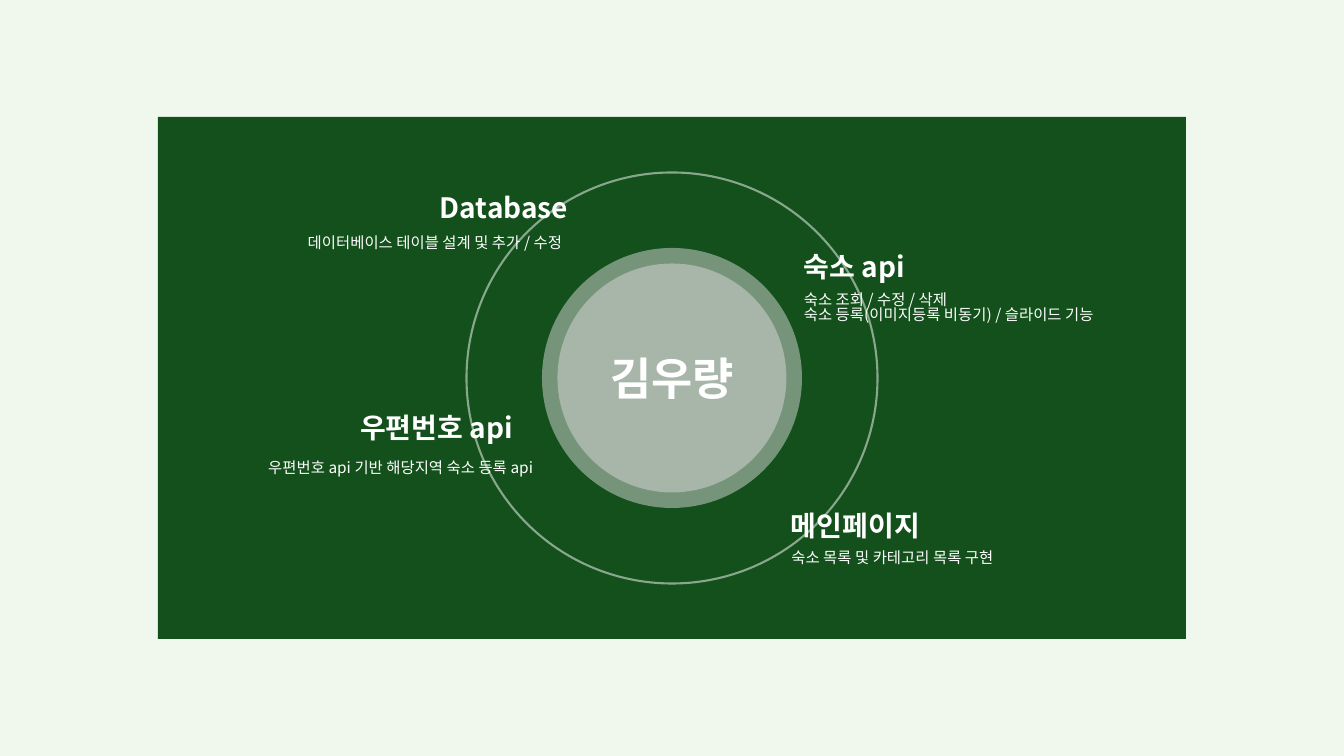
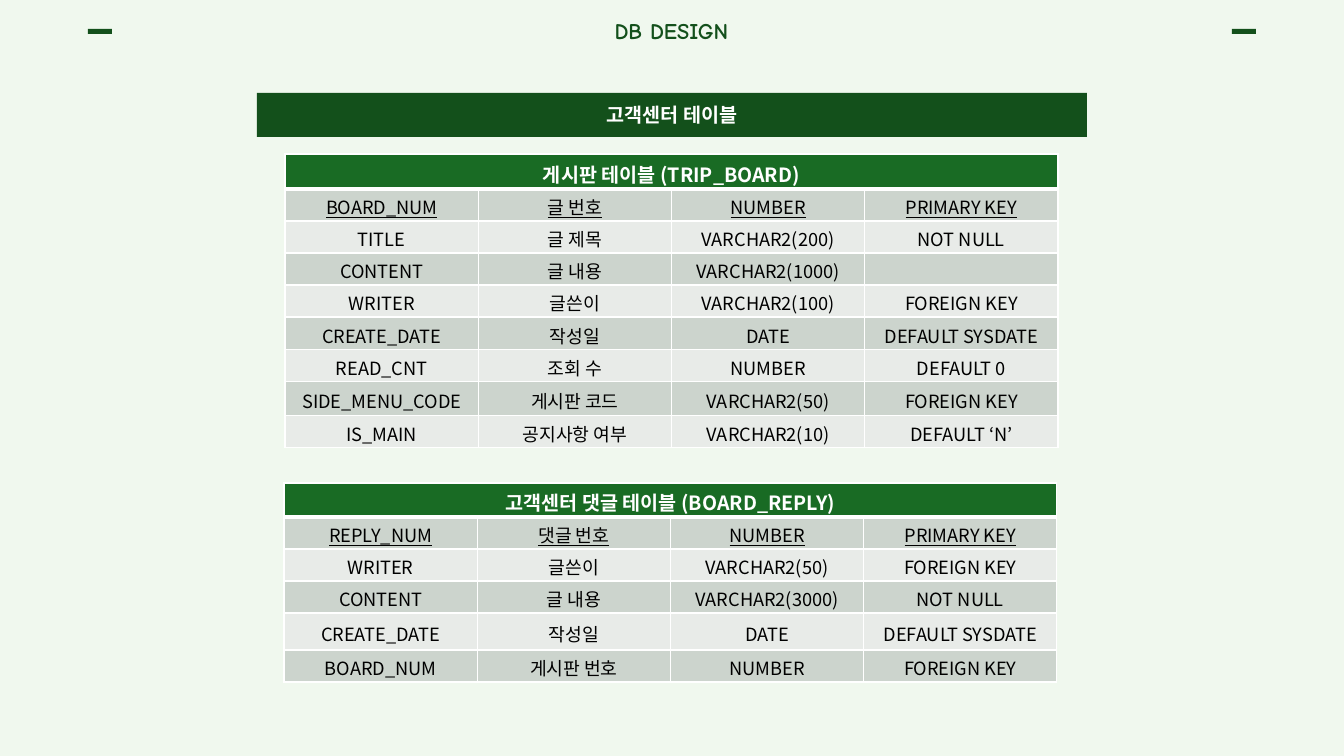
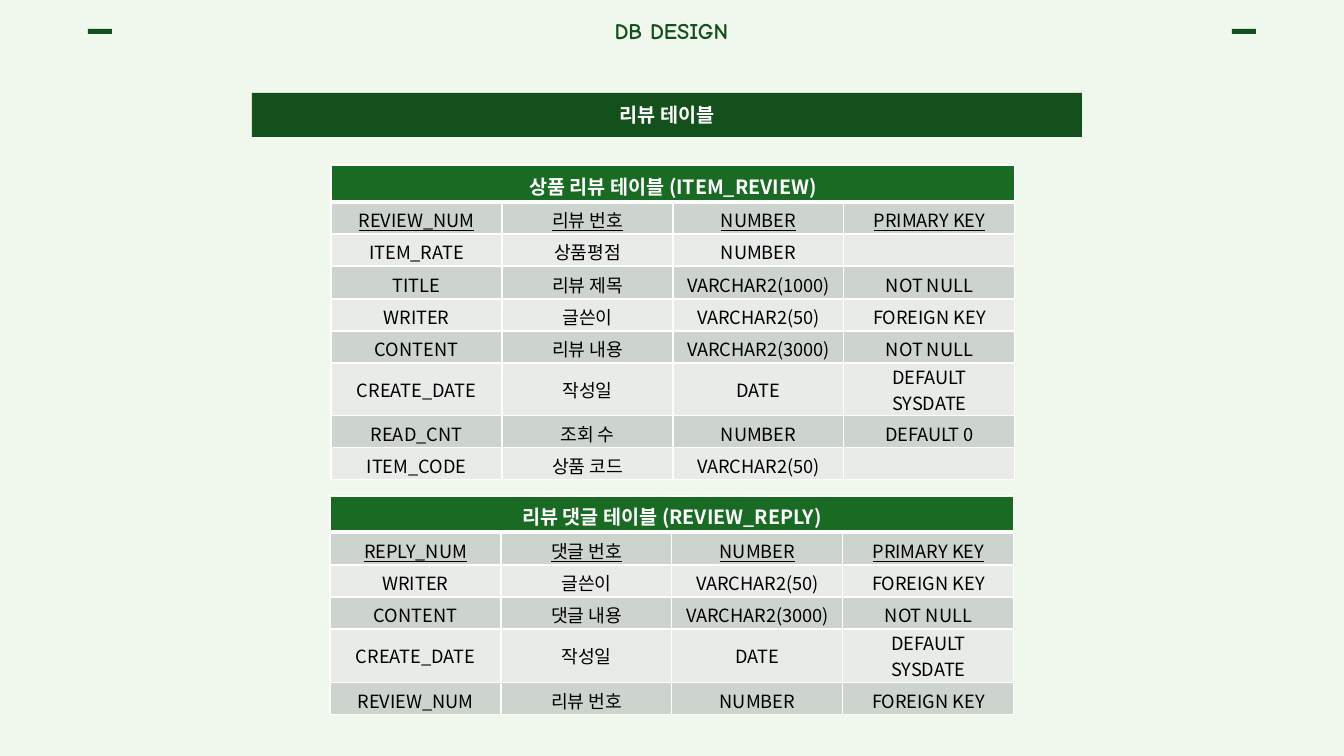
import dataclasses

import pptx
import pptx.dml.color
import pptx.enum.shapes
import pptx.enum.text
import pptx.oxml.ns
import pptx.util
from lxml import etree

SHAPE = pptx.enum.shapes.MSO_SHAPE
ALIGN = pptx.enum.text.PP_ALIGN
qn = pptx.oxml.ns.qn


@dataclasses.dataclass(frozen=True)
class Theme:
    page: str = "F0F8EE"
    dark: str = "13501B"
    header: str = "196B24"
    stripes: tuple = ("CCD4CD", "E8EBE8")
    disc: str = "D9D9D9"
    white: str = "FFFFFF"
    black: str = "000000"
    font: str = "Noto Sans CJK KR"
    title_font: str = "Comic Neue"
    name_size: int = 32
    topic_size: int = 20
    title_size: int = 16
    header_size: int = 14
    cell_size: int = 13
    detail_size: int = 11


THEME = Theme()
TITLE_ONLY, BLANK = 5, 6

BOARD = ("게시판 테이블 (TRIP_BOARD)", [
    ("BOARD_NUM", "글 번호", "NUMBER", "PRIMARY KEY"),
    ("TITLE", "글 제목", "VARCHAR2(200)", "NOT NULL"),
    ("CONTENT", "글 내용", "VARCHAR2(1000)", ""),
    ("WRITER", "글쓴이", "VARCHAR2(100)", "FOREIGN KEY"),
    ("CREATE_DATE", "작성일", "DATE", "DEFAULT SYSDATE"),
    ("READ_CNT", "조회 수", "NUMBER", "DEFAULT 0"),
    ("SIDE_MENU_CODE", "게시판 코드", "VARCHAR2(50)", "FOREIGN KEY"),
    ("IS_MAIN", "공지사항 여부", "VARCHAR2(10)", "DEFAULT ‘N’"),
])
BOARD_REPLY = ("고객센터 댓글 테이블 (BOARD_REPLY)", [
    ("REPLY_NUM", "댓글 번호", "NUMBER", "PRIMARY KEY"),
    ("WRITER", "글쓴이", "VARCHAR2(50)", "FOREIGN KEY"),
    ("CONTENT", "글 내용", "VARCHAR2(3000)", "NOT NULL"),
    ("CREATE_DATE", "작성일", "DATE", "DEFAULT SYSDATE"),
    ("BOARD_NUM", "게시판 번호", "NUMBER", "FOREIGN KEY"),
])
REVIEW = ("상품 리뷰 테이블 (ITEM_REVIEW)", [
    ("REVIEW_NUM", "리뷰 번호", "NUMBER", "PRIMARY KEY"),
    ("ITEM_RATE", "상품평점", "NUMBER", ""),
    ("TITLE", "리뷰 제목", "VARCHAR2(1000)", "NOT NULL"),
    ("WRITER", "글쓴이", "VARCHAR2(50)", "FOREIGN KEY"),
    ("CONTENT", "리뷰 내용", "VARCHAR2(3000)", "NOT NULL"),
    ("CREATE_DATE", "작성일", "DATE", "DEFAULT SYSDATE"),
    ("READ_CNT", "조회 수", "NUMBER", "DEFAULT 0"),
    ("ITEM_CODE", "상품 코드", "VARCHAR2(50)", ""),
])
REVIEW_REPLY = ("리뷰 댓글 테이블 (REVIEW_REPLY)", [
    ("REPLY_NUM", "댓글 번호", "NUMBER", "PRIMARY KEY"),
    ("WRITER", "글쓴이", "VARCHAR2(50)", "FOREIGN KEY"),
    ("CONTENT", "댓글 내용", "VARCHAR2(3000)", "NOT NULL"),
    ("CREATE_DATE", "작성일", "DATE", "DEFAULT SYSDATE"),
    ("REVIEW_NUM", "리뷰 번호", "NUMBER", "FOREIGN KEY"),
])


def px(count):
    return pptx.util.Emu(round(count * 914400 / 100.8))


def rgb(color):
    return pptx.dml.color.RGBColor.from_string(color)


def put_text(frame, text, *, size, color=THEME.white, font=THEME.font,
             bold=False, underline=False, align=ALIGN.CENTER, leading=None):
    """Write one paragraph for each line of text."""
    frame.word_wrap = True
    for index, line in enumerate(text.split("\n")):
        paragraph = frame.add_paragraph() if index else frame.paragraphs[0]
        paragraph.alignment = align
        paragraph.line_spacing = leading
        if not line:
            etree.SubElement(paragraph._p, qn("a:endParaRPr"), sz=str(size * 100))
            continue
        run = paragraph.add_run()
        run.text = line
        run.font.size = pptx.util.Pt(size)
        run.font.name = font
        run.font.bold = bold
        run.font.underline = underline
        run.font.color.rgb = rgb(color)
        east_asian = etree.SubElement(run._r.get_or_add_rPr(), qn("a:ea"))
        east_asian.set("typeface", font)


def center_vertically(frame):
    frame.margin_top = frame.margin_bottom = 0
    frame.vertical_anchor = pptx.enum.text.MSO_ANCHOR.MIDDLE


def add_label(slide, box, text, **style):
    frame = slide.shapes.add_textbox(*map(px, box)).text_frame
    center_vertically(frame)
    put_text(frame, text, **style)


def add_figure(slide, preset, box, *, fill=None, line=None, opacity=100):
    figure = slide.shapes.add_shape(preset, *map(px, box))
    figure.shadow.inherit = False
    if fill:
        figure.fill.solid()
        figure.fill.fore_color.rgb = rgb(fill)
    else:
        figure.fill.background()
    if line:
        figure.line.color.rgb = rgb(line)
        figure.line.width = pptx.util.Pt(1.5)
    else:
        figure.line.fill.background()
    if opacity < 100:
        for color in figure._element.spPr.iter(qn("a:srgbClr")):
            etree.SubElement(color, qn("a:alpha"), val=str(opacity * 1000))
    return figure


def add_borders(cell, bottom):
    properties = cell._tc.get_or_add_tcPr()
    for side, width in (("L", 1), ("R", 1), ("T", 1), ("B", bottom)):
        border = etree.SubElement(properties, qn(f"a:ln{side}"),
                                  w=str(pptx.util.Pt(width)))
        fill = etree.SubElement(border, qn("a:solidFill"))
        etree.SubElement(fill, qn("a:srgbClr"), val=THEME.white)


def format_cell(cell, fill, height, bottom=1):
    add_borders(cell, bottom)
    cell.fill.solid()
    cell.fill.fore_color.rgb = rgb(fill)
    cell.vertical_anchor = pptx.enum.text.MSO_ANCHOR.MIDDLE
    cell.margin_left = cell.margin_right = px(12)
    cell.margin_top = px(4 if height < 40 else 0)
    cell.margin_bottom = 0


def add_schema(slide, left, top, width, heights, schema):
    """Draw a database table: a merged heading, then striped columns rows."""
    heading, fields = schema
    columns = len(fields[0])
    frame = slide.shapes.add_table(len(heights), columns, px(left), px(top),
                                   px(width), px(sum(heights)))
    table = frame.table
    for column in table.columns:
        column.width = px(width / columns)
    for row, height in zip(table.rows, heights):
        row.height = px(height)

    # Heading
    for cell in table.rows[0].cells:
        format_cell(cell, THEME.header, heights[0], bottom=3)
    table.cell(0, 0).merge(table.cell(0, columns - 1))
    put_text(table.cell(0, 0).text_frame, heading,
             size=THEME.header_size, bold=True)

    # Fields, with the primary key underlined
    for index, field in enumerate(fields):
        height = heights[index + 1]
        for cell, text in zip(table.rows[index + 1].cells, field):
            format_cell(cell, THEME.stripes[index % 2], height)
            put_text(cell.text_frame, text, size=THEME.cell_size,
                     color=THEME.black, underline=index == 0)


def add_design_slide(deck, subject, bar_left):
    slide = deck.slides.add_slide(deck.slide_layouts[TITLE_ONLY])
    title = slide.shapes.title
    title.left, title.top, title.width, title.height = map(px, (550, 12, 243, 37))
    center_vertically(title.text_frame)
    put_text(title.text_frame, "DB DESIGN", size=THEME.title_size,
             color=THEME.dark, font=THEME.title_font, bold=True)
    for dash_left in (88, 1232):
        add_figure(slide, SHAPE.RECTANGLE, (dash_left, 29, 24, 5), fill=THEME.dark)
    bar = add_figure(slide, SHAPE.RECTANGLE, (bar_left, 93, 830, 44), fill=THEME.dark)
    center_vertically(bar.text_frame)
    put_text(bar.text_frame, subject, size=THEME.header_size, bold=True)
    return slide


def add_member_slide(deck):
    slide = deck.slides.add_slide(deck.slide_layouts[BLANK])
    add_figure(slide, SHAPE.RECTANGLE, (158, 117, 1028, 522), fill=THEME.dark)

    # Concentric circles
    for diameter, fill, line in ((260, THEME.disc, None), (229, THEME.disc, None),
                                 (411, None, THEME.white)):
        box = (672 - diameter / 2, 378 - diameter / 2, diameter, diameter)
        add_figure(slide, SHAPE.OVAL, box, fill=fill, line=line, opacity=50)
    add_label(slide, (574, 346, 196, 64), "김우량", size=THEME.name_size, bold=True)

    # Topics around the circles
    topics = [
        ("Database", (405, 185, 198, 44),
         "데이터베이스 테이블 설계 및 추가 / 수정", (255, 228, 317, 29), ALIGN.RIGHT),
        ("숙소 api", (770, 244, 169, 44),
         "숙소 조회 / 수정 / 삭제\n숙소 등록(이미지등록 비동기) / 슬라이드 기능",
         (794, 285, 422, 47), ALIGN.LEFT),
        ("우편번호 api", (315, 405, 243, 44),
         "우편번호 api 기반 해당지역 숙소 등록 api", (226, 453, 317, 29), ALIGN.RIGHT),
        ("메인페이지", (734, 503, 243, 44),
         "숙소 목록 및 카테고리 목록 구현", (734, 543, 317, 29), ALIGN.CENTER),
    ]
    for topic, topic_box, detail, detail_box, align in topics:
        add_label(slide, topic_box, topic, size=THEME.topic_size, bold=True)
        add_label(slide, detail_box, detail, size=THEME.detail_size, align=align,
                  leading=0.8 if "\n" in detail else None)


def main():
    deck = pptx.Presentation()
    deck.slide_width, deck.slide_height = px(1344), px(756)
    background = deck.slide_master.background.fill
    background.solid()
    background.fore_color.rgb = rgb(THEME.page)

    add_member_slide(deck)

    support = add_design_slide(deck, "고객센터 테이블", 257)
    add_schema(support, 285, 154, 773, [35, 32, 32, 32, 32, 33, 32, 34, 32], BOARD)
    add_schema(support, 284, 483, 773, [34, 32, 32, 32, 37, 32], BOARD_REPLY)

    review = add_design_slide(deck, "리뷰 테이블", 252)
    add_schema(review, 331, 165, 684, [37, 32, 32, 33, 32, 32, 53, 32, 32], REVIEW)
    add_schema(review, 330, 496, 684, [36, 33, 32, 32, 54, 32], REVIEW_REPLY)

    deck.save("out.pptx")


if __name__ == "__main__":
    main()
